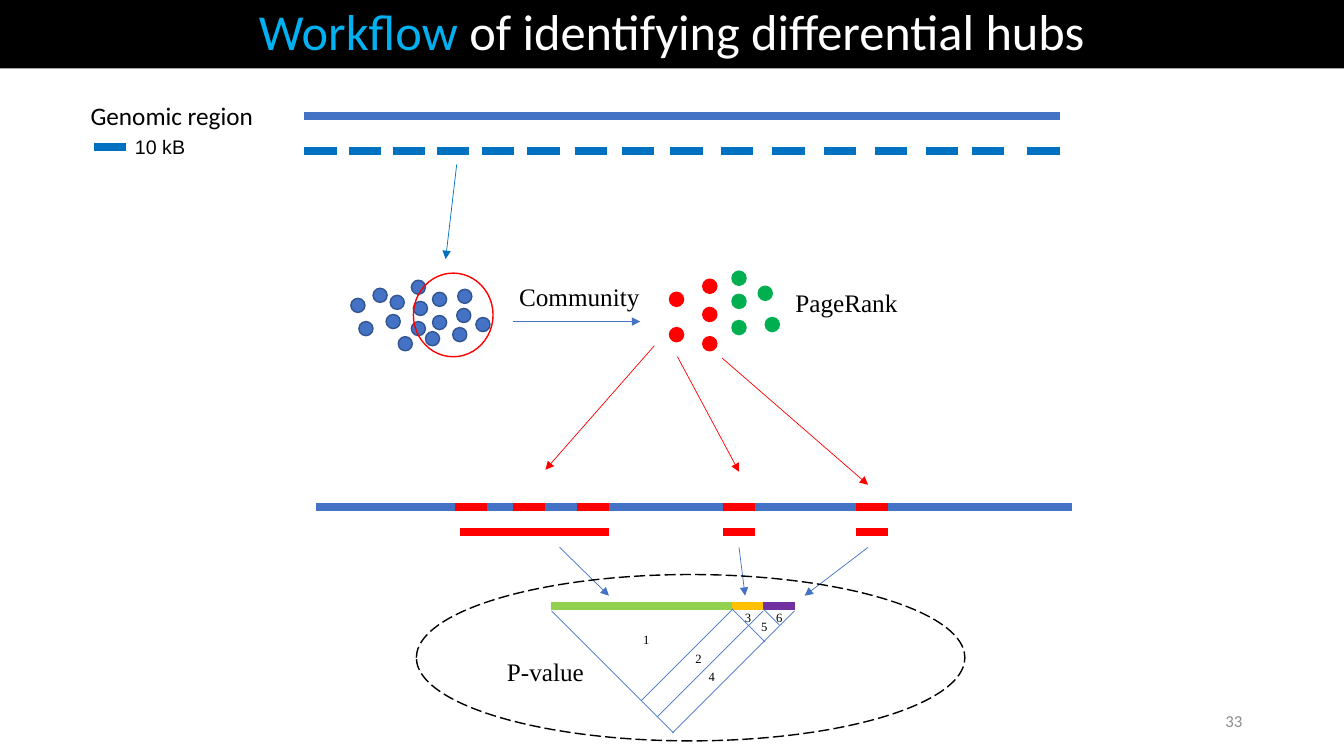
from lxml.etree import SubElement
from pptx import Presentation
from pptx.dml.color import RGBColor
from pptx.enum.dml import MSO_LINE
from pptx.enum.shapes import MSO_CONNECTOR, MSO_SHAPE
from pptx.enum.text import MSO_ANCHOR, PP_ALIGN
from pptx.oxml.ns import qn
from pptx.util import Inches, Pt

BLACK = RGBColor(0x00, 0x00, 0x00)
WHITE = RGBColor(0xFF, 0xFF, 0xFF)
GRAY = RGBColor(0x8C, 0x8C, 0x8C)
SKY = RGBColor(0x00, 0xB0, 0xF0)
BLUE = RGBColor(0x44, 0x72, 0xC4)
NAVY = RGBColor(0x32, 0x54, 0x91)
BIN_BLUE = RGBColor(0x00, 0x70, 0xC0)
RED = RGBColor(0xFF, 0x00, 0x00)
GREEN = RGBColor(0x00, 0xB0, 0x50)
LIME = RGBColor(0x92, 0xD0, 0x50)
AMBER = RGBColor(0xFF, 0xC0, 0x00)
PURPLE = RGBColor(0x70, 0x30, 0xA0)

prs = Presentation()
prs.slide_width = Inches(13.33)
prs.slide_height = Inches(7.5)
s = prs.slides.add_slide(prs.slide_layouts[6])
col = prs.slide_width / 13.33
row = prs.slide_height / 7.5


def add_line(x1, y1, x2, y2, color, width, arrow=False):
    c = s.shapes.add_connector(MSO_CONNECTOR.STRAIGHT, int(x1 * col), int(y1 * row),
                               int(x2 * col), int(y2 * row))
    c.line.color.rgb = color
    c.line.width = Pt(width)
    if arrow:
        SubElement(c.line._get_or_add_ln(), qn("a:tailEnd"), type="triangle")
    SubElement(c._element.spPr, qn("a:effectLst"))


def add_oval(x, y, w, h, fill, outline):
    sp = s.shapes.add_shape(MSO_SHAPE.OVAL, int(x * col), int(y * row),
                            int(w * col), int(h * row))
    sp.shadow.inherit = False
    if fill is None:
        sp.fill.background()
    else:
        sp.fill.solid()
        sp.fill.fore_color.rgb = fill
    sp.line.color.rgb = outline
    sp.line.width = Pt(1)
    return sp


title = s.shapes.add_shape(MSO_SHAPE.RECTANGLE, 0, 0, prs.slide_width, int(0.68 * row))
title.shadow.inherit = False
title.fill.solid()
title.fill.fore_color.rgb = BLACK
title.line.fill.background()
title.text_frame.vertical_anchor = MSO_ANCHOR.MIDDLE
p = title.text_frame.paragraphs[0]
p.alignment = PP_ALIGN.CENTER
p.line_spacing = 0.9
p.font.size = Pt(36)
p.font.name = "Calibri"
for words, color in [("Workflow", SKY), (" of identifying differential hubs", WHITE)]:
    r = p.add_run()
    r.text = words
    r.font.color.rgb = color

BIN = 0.32
add_line(3.13, 5.03, 10.63, 5.03, BLUE, 6)
add_line(3.02, 1.15, 10.51, 1.15, BLUE, 6)
bins = [
    (1.46, BIN_BLUE, [0.93]),
    (1.5, BIN_BLUE, [3.02, 3.46, 3.9, 4.33, 4.78, 5.23, 5.7, 6.17,
                     6.65, 7.15, 7.66, 8.17, 8.68, 9.18, 9.64, 10.19]),
    (5.03, RED, [4.51, 5.09, 5.72, 7.17, 8.49]),
    (5.28, RED, [4.56, 4.83, 5.15, 5.47, 5.72, 7.17, 8.49]),
    (6.01, LIME, [5.47, 5.77, 6.09, 6.34, 6.65, 6.94]),
    (6.01, AMBER, [7.26]),
    (6.01, PURPLE, [7.57]),
]
for y, color, starts in bins:
    for x in starts:
        add_line(x, y, x + BIN, y, color, 6)

DOT = 0.14
dots = [
    (BLUE, NAVY, [(3.95, 3.34), (4.08, 3.19), (4.22, 3.29), (4.29, 3.13), (4.49, 3.25),
                  (4.53, 3.06), (4.1, 2.99), (4.29, 2.9), (3.83, 3.12), (3.87, 2.93),
                  (4.08, 2.78), (4.54, 2.87), (4.72, 3.15), (3.56, 3.19), (3.48, 2.96),
                  (3.7, 2.86)]),
    (RED, RED, [(6.64, 2.9), (6.64, 3.25), (6.97, 3.05), (6.97, 2.77), (6.97, 3.34)]),
    (GREEN, GREEN, [(7.26, 2.92), (7.26, 3.18), (7.26, 2.69), (7.52, 2.84), (7.59, 3.15)]),
]
for fill, outline, spots in dots:
    for x, y in spots:
        add_oval(x, y, DOT, DOT, fill, outline)
add_oval(4.1, 2.71, 0.79, 0.83, None, RED)

arrows = [
    (4.53, 1.63, 4.42, 2.57, BIN_BLUE, 0.5),
    (5.09, 3.19, 6.35, 3.19, BLUE, 1),
    (6.49, 3.43, 5.41, 4.66, RED, 0.5),
    (6.72, 3.54, 7.33, 4.68, RED, 0.5),
    (7.16, 3.55, 8.61, 4.81, RED, 0.5),
    (5.55, 5.43, 6.04, 5.91, BLUE, 0.5),
    (7.33, 5.43, 7.39, 5.91, BLUE, 0.5),
    (8.61, 5.43, 7.98, 5.91, BLUE, 0.5),
]
for arrow in arrows:
    add_line(*arrow, arrow=True)

diagonals = [(5.47, 6.06, 1.21, 1), (7.26, 6.04, 0.33, 1), (7.57, 6.04, 0.16, 1),
             (7.88, 6.06, 1.21, -1), (7.57, 6.06, 1.05, -1), (7.27, 6.04, 0.91, -1)]
for x, y, reach, side in diagonals:
    add_line(x, y, x + side * reach, y + reach, BLUE, 0.5)

add_oval(4.13, 5.7, 5.44, 1.65, None, BLACK).line.dash_style = MSO_LINE.LONG_DASH

labels = [
    ("Genomic region", 0.8, 0.95, 1.89, 0.4, "Calibri", 18, True),
    ("10 kB", 1.24, 1.29, 1.44, 0.34, "Arial", 14, True),
    ("Community", 5.05, 2.74, 1.46, 0.4, "Times New Roman", 18, False),
    ("PageRank", 7.79, 2.8, 1.23, 0.4, "Times New Roman", 18, False),
    ("P-value", 4.93, 6.46, 0.97, 0.4, "Times New Roman", 18, False),
    ("33", 9.42, 6.95, 3, 0.4, "Calibri", 12, True),
]
cells = [(6.28, 6.22), (6.8, 6.41), (7.29, 6), (6.93, 6.59), (7.45, 6.09), (7.6, 6)]
for number, (x, y) in enumerate(cells, 1):
    labels.append((str(number), x, y, 0.27, 0.25, "Times New Roman", 9, False))
for words, x, y, w, h, font, size, wrap in labels:
    tf = s.shapes.add_textbox(int(x * col), int(y * row), int(w * col), int(h * row)).text_frame
    tf.word_wrap = wrap
    p = tf.paragraphs[0]
    p.text = words
    p.font.name = font
    p.font.size = Pt(size)
    p.font.color.rgb = BLACK
    if words == "33":
        tf.vertical_anchor = MSO_ANCHOR.MIDDLE
        p.alignment = PP_ALIGN.RIGHT
        p.font.color.rgb = GRAY

prs.save("out.pptx")
